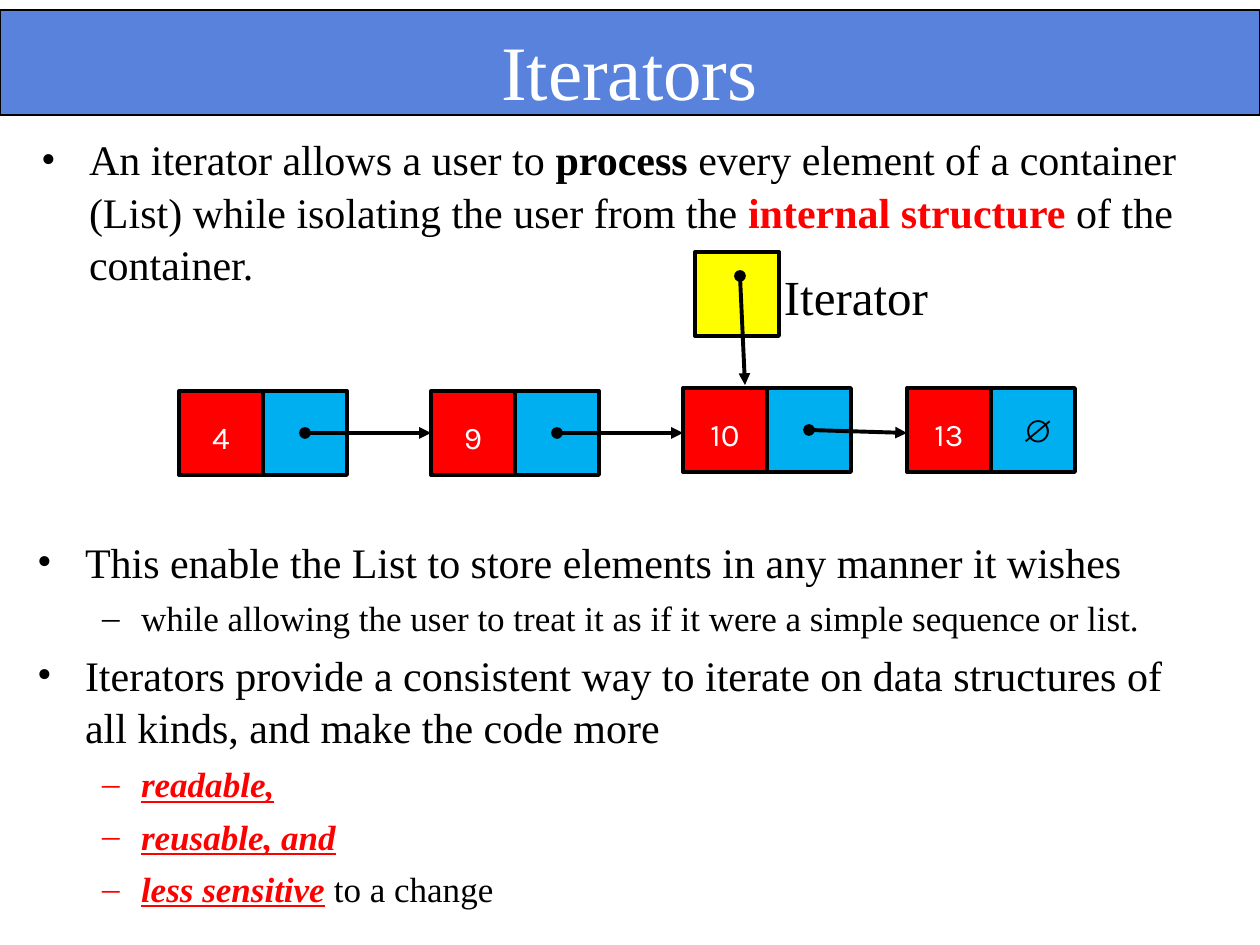
import pptx
import pptx.util
import pptx.dml.color
import pptx.enum.shapes
import pptx.enum.text
import pptx.oxml.ns
import lxml.etree

SCALE = 914400 / 126
SERIF = "Times New Roman"
BLACK, WHITE, RED, BLUE, YELLOW = "000000", "FFFFFF", "FF0000", "00AFEF", "FFFF00"
BAR = "5882DB"

# Run styles
PLAIN = {}
BOLD = {"bold": True}
KEY = {"bold": True, "color": RED}
STRESS = {"bold": True, "italic": True, "underline": True, "color": RED}

# Paragraphs: (level, runs)
INTRO = [
    (0, [("An iterator allows a user to ", PLAIN), ("process", BOLD),
         (" every element of a container (List) while isolating the user from the ", PLAIN),
         ("internal structure", KEY), (" of the container.", PLAIN)]),
]
BODY = [
    (0, [("This enable the List to store elements in any manner it wishes", PLAIN)]),
    (1, [("while allowing the user to treat it as if it were a simple sequence or list.", PLAIN)]),
    (0, [("Iterators provide a consistent way to iterate on data structures of "
          "all kinds, and make the code more", PLAIN)]),
    (1, [("readable,", STRESS)]),
    (1, [("reusable, and", STRESS)]),
    (1, [("less sensitive", STRESS), (" to a change", PLAIN)]),
]
# Level: bullet, size, text indent and bullet offset in px
LEVELS = {0: ("•", 24, 48, 48), 1: ("–", 20, 104, 39)}

CELL = 84
NODES = [("4", 179, 391), ("9", 431, 391), ("10", 683, 388), ("13", 907, 388)]
ITERATOR_CELL = (695, 252)
ITERATOR_ARROW = (740, 276, 745, 385)


def px(n):
    return pptx.util.Emu(round(n * SCALE))


def rgb(value):
    return pptx.dml.color.RGBColor.from_string(value)


def place(sp, x, y, w, h):
    sp.left, sp.top, sp.width, sp.height = px(x), px(y), px(w), px(h)


def set_frame(tf, left=0, top=0, middle=False):
    anchor = pptx.enum.text.MSO_ANCHOR
    tf.word_wrap = True
    tf.auto_size = pptx.enum.text.MSO_AUTO_SIZE.NONE
    tf.vertical_anchor = anchor.MIDDLE if middle else anchor.TOP
    tf.margin_left, tf.margin_top = px(left), px(top)
    tf.margin_right = tf.margin_bottom = 0


def style(r, size, color=BLACK, font=SERIF, bold=False, italic=False, underline=False):
    r.font.name, r.font.size = font, pptx.util.Pt(size)
    r.font.color.rgb = rgb(color)
    r.font.bold, r.font.italic, r.font.underline = bold, italic, underline


def set_label(tf, text, size, color, font=SERIF, centred=True):
    tf.text = text
    p = tf.paragraphs[0]
    align = pptx.enum.text.PP_ALIGN
    p.alignment = align.CENTER if centred else align.LEFT
    style(p.runs[0], size, color, font)


def add_child(parent, tag, **attributes):
    return lxml.etree.SubElement(parent, pptx.oxml.ns.qn(tag), attributes)


def write_list(tf, items):
    set_frame(tf)
    for i, (level, runs) in enumerate(items):
        bullet, size, indent, offset = LEVELS[level]
        p = tf.paragraphs[0] if i == 0 else tf.add_paragraph()
        p.level = level
        p.alignment = pptx.enum.text.PP_ALIGN.LEFT
        p.line_spacing = 1.04
        p.space_before = pptx.util.Pt(5 if i else 0)
        pPr = p._p.get_or_add_pPr()
        pPr.set("marL", str(px(indent)))
        pPr.set("indent", str(-px(offset)))
        add_child(pPr, "a:buFont", typeface=SERIF)
        add_child(pPr, "a:buChar", char=bullet)
        for text, look in runs:
            r = p.add_run()
            r.text = text
            style(r, size, **look)


def add_box(s, x, y, w, h, fill, line_width):
    sp = s.shapes.add_shape(pptx.enum.shapes.MSO_SHAPE.RECTANGLE, px(x), px(y), px(w), px(h))
    sp.shadow.inherit = False
    sp.fill.solid()
    sp.fill.fore_color.rgb = rgb(fill)
    sp.line.color.rgb = rgb(BLACK)
    sp.line.width = pptx.util.Pt(line_width)
    return sp


def add_cell(s, x, y, fill, text="", color=WHITE, font="Karla", left=0, top=0):
    sp = add_box(s, x, y, CELL, CELL, fill, 2.25)
    if text:
        set_frame(sp.text_frame, left, top, middle=True)
        set_label(sp.text_frame, text, 18, color, font)


def add_pointer(s, x1, y1, x2, y2):
    """Arrow that starts with a dot."""
    line = s.shapes.add_connector(pptx.enum.shapes.MSO_CONNECTOR.STRAIGHT,
                                  px(x1), px(y1), px(x2), px(y2))
    line.line.color.rgb = rgb(BLACK)
    line.line.width = pptx.util.Pt(2.25)
    ln = line.line._get_or_add_ln()
    add_child(ln, "a:headEnd", type="oval")
    add_child(ln, "a:tailEnd", type="triangle")
    add_child(line._element.spPr, "a:effectLst")


def add_text_box(s, x, y, w, h):
    return s.shapes.add_textbox(px(x), px(y), px(w), px(h)).text_frame


def main():
    prs = pptx.Presentation()
    prs.slide_width, prs.slide_height = px(1260), px(945)
    s = prs.slides.add_slide(prs.slide_layouts[1])
    title, body = s.shapes.title, s.placeholders[1]

    bar = add_box(s, 0, 10, 1260, 105, BAR, 0.75)
    s.shapes._spTree.insert(2, bar._element)  # behind the title

    place(title, 67, 13, 1125, 96)
    set_frame(title.text_frame, top=11)
    set_label(title.text_frame, "Iterators", 44, WHITE)

    write_list(add_text_box(s, 41, 132, 1154, 152), INTRO)
    place(body, 37, 534, 1140, 362)
    write_list(body.text_frame, BODY)

    for value, x, y in NODES:
        add_cell(s, x, y, RED, value, top=8)
        if value == NODES[-1][0]:
            add_cell(s, x + CELL, y, BLUE, "∅", BLACK, "Arial", left=10)
        else:
            add_cell(s, x + CELL, y, BLUE)
    for (_, x, y), (_, next_x, _) in zip(NODES, NODES[1:]):
        add_pointer(s, x + CELL * 3 // 2, y + CELL // 2, next_x, 433)

    add_cell(s, *ITERATOR_CELL, YELLOW)
    add_pointer(s, *ITERATOR_ARROW)
    tf = add_text_box(s, 784, 267, 148, 56)
    set_frame(tf)
    set_label(tf, "Iterator", 28, BLACK, centred=False)

    prs.save("out.pptx")


if __name__ == "__main__":
    main()
